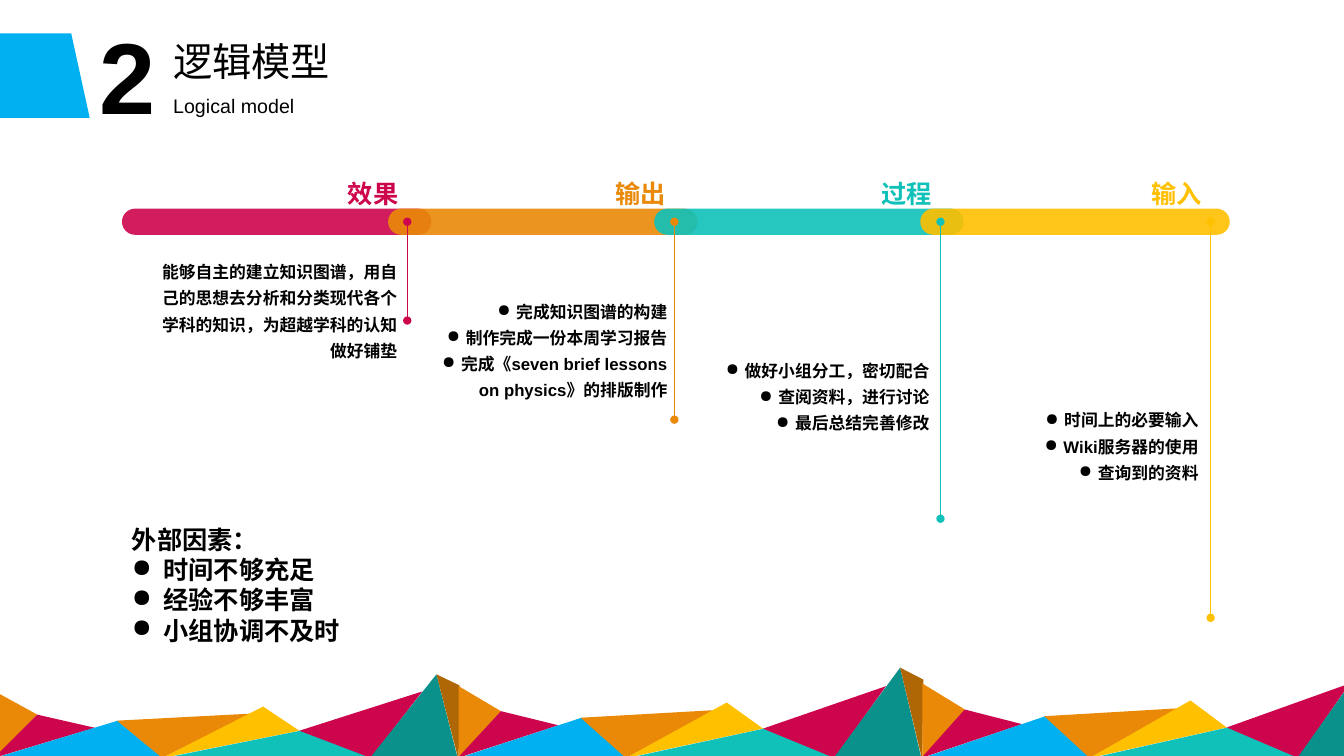
from lxml import etree
from pptx import Presentation
from pptx import util as u
from pptx.dml.color import RGBColor
from pptx.enum import shapes, text
from pptx.oxml.ns import qn

CRIMSON, ORANGE, TEAL, YELLOW = "CD054C", "EA8908", "0FC1B9", "FFC000"
BLUE, DARK_TEAL, BROWN, BLACK = "00B0F0", "0B918B", "AF6706", "000000"
COLUMNS, ROWS = 133.33, 75

# Colour, line x, heading, note left, note top, note paragraphs
STAGES = [
    (CRIMSON, 40.4, "效果", 13.7, 24.9,
     ["能够自主的建立知识图谱，用自己的思想去分析和分类现代各个学科的知识，为超越学科的认知做好铺垫"]),
    (ORANGE, 66.9, "输出", 40.5, 28.8,
     ["完成知识图谱的构建", "制作完成一份本周学习报告",
      "完成《seven brief lessons on physics》的排版制作"]),
    (TEAL, 93.3, "过程", 66.5, 34.7,
     ["做好小组分工，密切配合", "查阅资料，进行讨论", "最后总结完善修改"]),
    (YELLOW, 120.1, "输入", 93.2, 39.6,
     ["时间上的必要输入", "Wiki服务器的使用", "查询到的资料"]),
]

# Facets of one mountain range: columns from its left end, rows above its foot
FACETS = [
    (ORANGE, [(0, 0), (0, 6.6), (4.2, 4.3)]),
    (CRIMSON, [(-0.1, 0), (4.2, 4.3), (9.9, 3)]),
    (BLUE, [(0, 0), (12.2, 3.7), (16.8, 0)]),
    (ORANGE, [(12.1, 3.7), (25.4, 4.4), (16.6, 0)]),
    (YELLOW, [(30.2, 2.7), (16.6, 0), (26.6, 5.1)]),
    (TEAL, [(37.5, 0), (16.8, 0), (30.3, 2.7)]),
    (CRIMSON, [(37.3, 0), (30.2, 2.7), (42.4, 6.6)]),
    (DARK_TEAL, [(45.9, 0), (37.2, 0), (43.8, 8.3)]),
    (BROWN, [(46.1, 7.2), (46, -0.2), (43.8, 8.3)]),
]
RANGE_LEFT, RANGE_WIDTH, RANGE_FOOT = -0.5, 46, 75.2
RANGE_SCALES = [1, 1.08, 1.12]


def rgb(value):
    return RGBColor.from_string(value)


class Canvas:
    """Draws on one slide; positions are columns and rows of its grid."""

    font_name = "Arial"

    def __init__(self, presentation):
        self.slide = presentation.slides.add_slide(presentation.slide_layouts[6])
        self.column = presentation.slide_width / COLUMNS
        self.row = presentation.slide_height / ROWS

    def point(self, x, y):
        return u.Emu(round(x * self.column)), u.Emu(round(y * self.row))

    def box(self, left, top, width, height):
        return *self.point(left, top), *self.point(width, height)

    def paint(self, shape, color):
        shape.shadow.inherit = False
        shape.fill.solid()
        shape.fill.fore_color.rgb = rgb(color)
        shape.line.fill.background()

    def polygon(self, points, color):
        first, *others = [self.point(x, y) for x, y in points]
        builder = self.slide.shapes.build_freeform(*first)
        builder.add_line_segments(others, close=True)
        self.paint(builder.convert_to_shape(), color)

    def shape(self, kind, frame, color):
        shape = self.slide.shapes.add_shape(kind, *self.box(*frame))
        self.paint(shape, color)
        return shape

    def bar(self, frame, color, opacity):
        shape = self.shape(shapes.MSO_SHAPE.ROUNDED_RECTANGLE, frame, color)
        shape.adjustments[0] = 0.5
        fill_color = shape._element.spPr.find(".//" + qn("a:srgbClr"))
        etree.SubElement(fill_color, qn("a:alpha"), val=str(opacity * 1000))

    def pin(self, x, top, bottom, color):
        """A vertical line with a dot at each end."""
        line = self.slide.shapes.add_connector(
            shapes.MSO_CONNECTOR.STRAIGHT, *self.point(x, top), *self.point(x, bottom))
        line.line.color.rgb = rgb(color)
        line.line.width = u.Pt(0.5)
        outline = line._element.spPr.find(qn("a:ln"))
        for end in ("a:headEnd", "a:tailEnd"):
            etree.SubElement(outline, qn(end), type="oval")
        etree.SubElement(line._element.spPr, qn("a:effectLst"))

    def bullet(self, paragraph, indent):
        properties = paragraph._p.get_or_add_pPr()
        properties.set("marL", str(u.Pt(indent)))
        properties.set("indent", str(-u.Pt(indent)))
        etree.SubElement(properties, qn("a:buChar"), char="●")

    def text_box(self, frame, lines, size, color=BLACK, bold=False, right=False,
                 spacing=None, wrap=True, indent=0, first_bullet=0):
        """With an indent, lines from first_bullet on are bulleted."""
        text_frame = self.slide.shapes.add_textbox(*self.box(*frame)).text_frame
        text_frame.word_wrap = wrap
        text_frame.text = "\n".join(lines)
        for index, paragraph in enumerate(text_frame.paragraphs):
            paragraph.alignment = text.PP_ALIGN.RIGHT if right else text.PP_ALIGN.LEFT
            paragraph.line_spacing = spacing
            if indent and index >= first_bullet:
                self.bullet(paragraph, indent)
            font = paragraph.font
            font.name, font.size, font.bold = self.font_name, u.Pt(size), bold
            font.color.rgb = rgb(color)


def draw_mountains(canvas):
    for number, scale in enumerate(RANGE_SCALES):
        left = RANGE_LEFT + number * RANGE_WIDTH
        for color, points in FACETS:
            if left + min(x for x, _ in points) < COLUMNS:
                canvas.polygon(
                    [(left + x, RANGE_FOOT - y * scale) for x, y in points], color)


def draw_title(canvas):
    tab = canvas.shape(shapes.MSO_SHAPE.FLOWCHART_MANUAL_INPUT, (0.1, 2.9, 8.4, 9.2), BLUE)
    tab.rotation = 90
    canvas.text_box((8.9, 0.9, 14.6, 13.1), ["2"], 72, bold=True)
    canvas.text_box((16.2, 3.2, 17.9, 5.7), ["逻辑模型"], 28)
    canvas.text_box((16.2, 8.8, 17.9, 3.4), ["Logical model"], 14)


def draw_timeline(canvas):
    for number, (color, *_) in enumerate(STAGES):
        canvas.bar((12.1 + 26.4 * number, 20.7, 30.7, 2.6), color, opacity=90)
    for number, (color, x, heading, left, top, notes) in enumerate(STAGES):
        canvas.text_box((x - 7, 15.7, 7.1, 5), [heading], 18, color, bold=True,
                        right=True, spacing=1.5, wrap=False)
        canvas.pin(x, 22, 31.8 + 9.83 * number, color)
        canvas.text_box((left, top, 26.7, 11.4), notes, 12, bold=True, right=True,
                        spacing=1.3, indent=13.5 if len(notes) > 1 else 0)


def main():
    presentation = Presentation()
    presentation.slide_width = u.Inches(13.33)
    presentation.slide_height = u.Inches(7.5)
    canvas = Canvas(presentation)
    draw_mountains(canvas)
    draw_title(canvas)
    draw_timeline(canvas)
    canvas.text_box((12.1, 51.5, 74.3, 13.1),
                    ["外部因素：", "时间不够充足", "经验不够丰富", "小组协调不及时"],
                    18, bold=True, indent=22.5, first_bullet=1)
    presentation.save("out.pptx")


if __name__ == "__main__":
    main()
